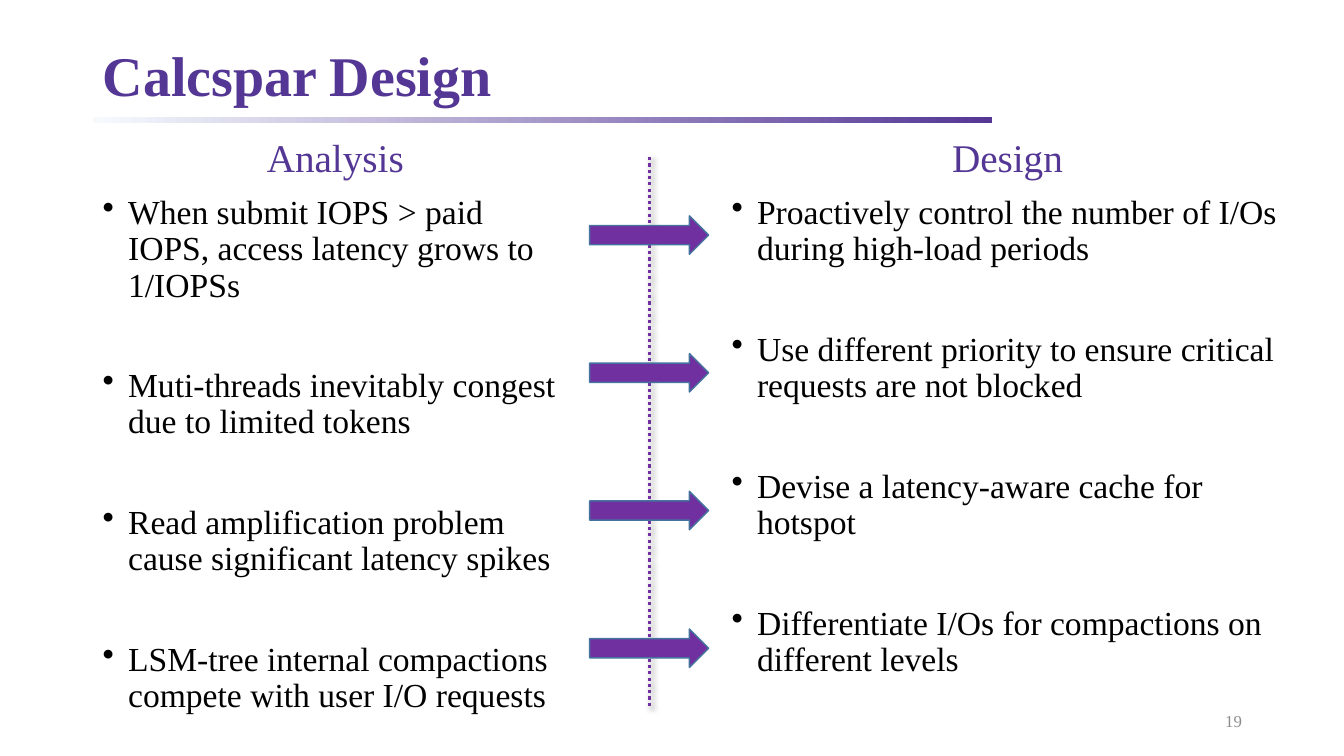
from lxml.etree import SubElement as Sub
from pptx import Presentation
from pptx.dml.color import RGBColor
from pptx.enum.dml import MSO_LINE_DASH_STYLE as Dash
from pptx.enum.shapes import MSO_CONNECTOR as Conn, MSO_SHAPE as Kind
from pptx.enum.text import MSO_ANCHOR as Anchor, PP_ALIGN as Align
from pptx.oxml.ns import qn
from pptx.util import Cm, Pt

INDIGO = RGBColor(0x54, 0x37, 0x95)
PURPLE = RGBColor(0x70, 0x30, 0xA0)
PALE = RGBColor(0xF7, 0xFA, 0xFD)
STEEL = RGBColor(0x43, 0x73, 0x9E)
GREY = RGBColor(0x8C, 0x8C, 0x8C)
BLACK = RGBColor(0, 0, 0)
FACE = "Times New Roman"

TITLE = dict(size=Pt(40), bold=True)
HEAD = dict(size=Pt(28))
ITEM = dict(size=Pt(24))
PAGE = dict(size=Pt(12))

ANALYSIS = [
    "When submit IOPS > paid IOPS, access latency grows to 1/IOPSs",
    "Muti-threads inevitably congest due to limited tokens",
    "Read amplification problem cause significant latency spikes",
    "LSM-tree internal compactions compete with user I/O requests",
]
DESIGN = [
    "Proactively control the number of I/Os during high-load periods",
    "Use different priority to ensure critical requests are not blocked",
    "Devise a latency-aware cache for hotspot",
    "Differentiate I/Os for compactions on different levels",
]


def frame(slide, box, anchor=Anchor.TOP):
    text = slide.shapes.add_textbox(*map(Cm, box)).text_frame
    text.word_wrap = True
    text.vertical_anchor = anchor
    return text


def write(para, words, font, color, **form):
    run = para.add_run()
    run.text = words
    for name, value in dict(font, name=FACE).items():
        setattr(run.font, name, value)
    run.font.color.rgb = color
    for name, value in form.items():
        setattr(para, name, value)


def bullet(para):
    props = para._p.get_or_add_pPr()
    props.set("marL", str(Cm(0.64)))
    props.set("indent", str(-Cm(0.64)))
    Sub(props, qn("a:buChar"), char="•")


def header(slide, box, words):
    left, top, width, height = box
    text = frame(slide, box, Anchor.MIDDLE)
    write(text.paragraphs[0], words, TITLE, INDIGO, line_spacing=0.9)
    # Fading rule below the title
    rule = slide.shapes.add_shape(
        Kind.RECTANGLE, Cm(left), Cm(top + height + 0.03), Cm(22.66), Cm(0.14))
    rule.shadow.inherit = False
    rule.line.fill.background()
    rule.fill.gradient()
    rule.fill.gradient_angle = 0
    for stop, color in zip(rule.fill.gradient_stops, (PALE, INDIGO)):
        stop.color.rgb = color


def column(slide, box, head, items):
    text = frame(slide, box)
    write(text.paragraphs[0], head, HEAD, INDIGO, alignment=Align.CENTER,
          line_spacing=0.9, space_before=Pt(10))
    for i, words in enumerate(items):
        para = text.add_paragraph()
        write(para, words, ITEM, BLACK, line_spacing=0.9,
              space_before=Pt(46 if i else 10))
        bullet(para)


def divider(slide, box, count):
    left, top, width, height = box
    # Dotted line with a soft shadow
    mid = Cm(left + width / 2)
    line = slide.shapes.add_connector(
        Conn.STRAIGHT, mid, Cm(top), mid, Cm(top + height))
    line.line.color.rgb = PURPLE
    line.line.width = Pt(2.25)
    line.line.dash_style = Dash.ROUND_DOT
    effect = Sub(line._element.spPr, qn("a:effectLst"))
    shade = Sub(effect, qn("a:outerShdw"), blurRad=str(Pt(4)),
                dist=str(Pt(3)), dir="2700000", algn="tl", rotWithShape="0")
    black = Sub(shade, qn("a:srgbClr"), val="000000")
    Sub(black, qn("a:alpha"), val="40000")
    # Arrows from analysis to design
    for i in range(count):
        arrow = slide.shapes.add_shape(
            Kind.RIGHT_ARROW, Cm(left), Cm(top + 1.48 + 3.47 * i),
            Cm(width), Cm(0.97))
        arrow.shadow.inherit = False
        arrow.fill.solid()
        arrow.fill.fore_color.rgb = PURPLE
        arrow.line.color.rgb = STEEL
        arrow.line.width = Pt(1)


def footer(slide, box, number):
    text = frame(slide, box, Anchor.MIDDLE)
    write(text.paragraphs[0], number, PAGE, GREY, alignment=Align.RIGHT)


def main():
    deck = Presentation()
    deck.slide_width, deck.slide_height = Cm(33.87), Cm(19.05)
    slide = deck.slides.add_slide(deck.slide_layouts[6])
    header(slide, (2.34, 1.02, 29.21, 1.91), "Calcspar Design")
    column(slide, (2.34, 3.38, 12.22, 15.04), "Analysis", ANALYSIS)
    column(slide, (18.19, 3.38, 14.4, 15.04), "Design", DESIGN)
    divider(slide, (14.86, 3.96, 3, 13.9), len(DESIGN))
    footer(slide, (23.93, 17.65, 7.62, 1.02), "19")
    deck.save("out.pptx")


if __name__ == "__main__":
    main()
